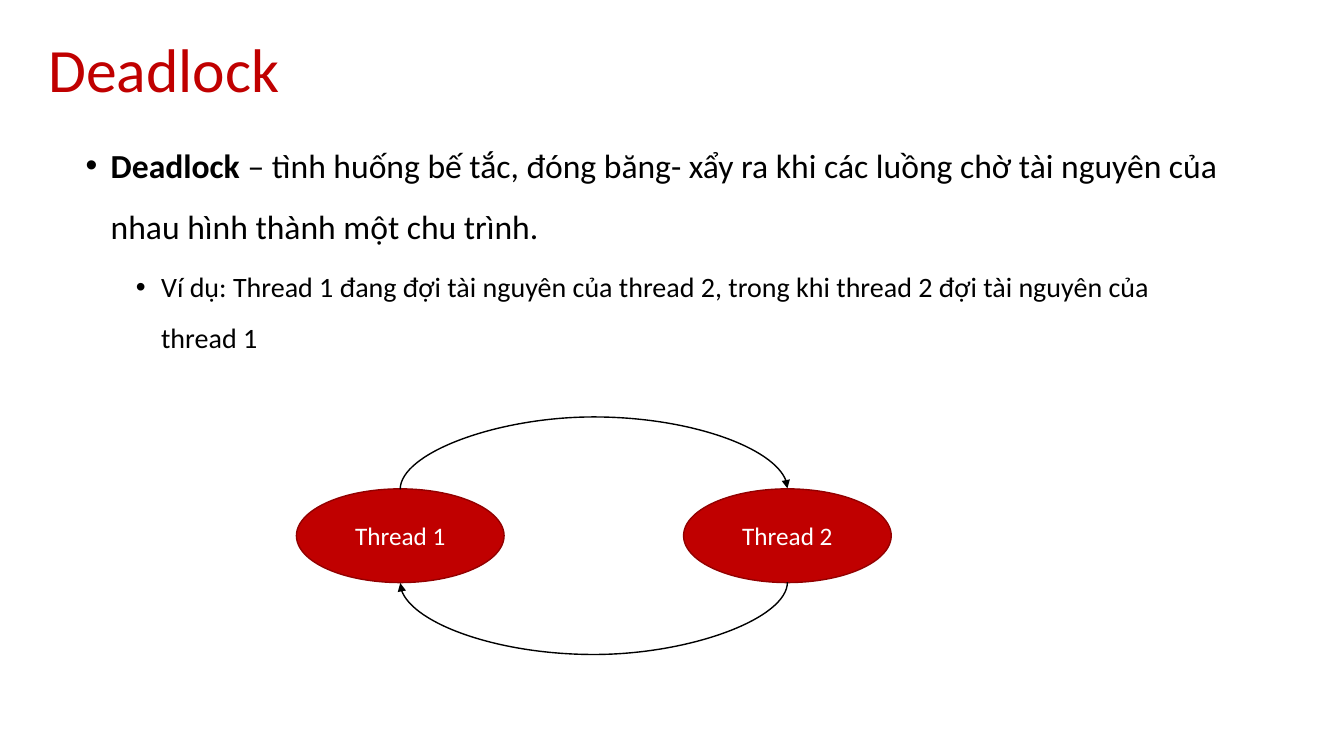
from pptx import Presentation
from pptx.dml.color import RGBColor
from pptx.enum.dml import MSO_LINE
from pptx.enum.shapes import MSO_CONNECTOR, MSO_SHAPE
from pptx.enum.text import MSO_ANCHOR, PP_ALIGN
from pptx.oxml.ns import qn
from pptx.util import Inches, Pt
from lxml import etree

OVAL = MSO_SHAPE.OVAL
CURVE = MSO_CONNECTOR.CURVE
MIDDLE = MSO_ANCHOR.MIDDLE
CENTER = PP_ALIGN.CENTER
SOLID = MSO_LINE.SOLID

RED, DARK, BLACK, WHITE = "C00000", "920000", "000000", "FFFFFF"


def rgb(color):
    return RGBColor.from_string(color)


def write(para, text, size=18, color=BLACK, bold=False, indent=None,
          spacing=None, before=None, align=None):
    """Add a run to para; an indent in inches also gives it a bullet."""
    run = para.add_run()
    run.text = text
    font = run.font
    font.name, font.size, font.bold = "Calibri", Pt(size), bold
    font.color.rgb = rgb(color)
    if spacing:
        para.line_spacing = spacing
    if before:
        para.space_before = Pt(before)
    if align:
        para.alignment = align
    if indent:
        props = para._p.get_or_add_pPr()
        props.set("marL", str(Inches(indent)))
        props.set("indent", str(Inches(-0.25)))
        etree.SubElement(props, qn("a:buFont"), typeface="Arial")
        etree.SubElement(props, qn("a:buChar"), char="•")


deck = Presentation()
deck.slide_width, deck.slide_height = Inches(13.33), Inches(7.5)
slide = deck.slides.add_slide(deck.slide_layouts[6])
shapes = slide.shapes

# Title
title = shapes.add_textbox(Inches(0.48), Inches(0.38), Inches(9.06), Inches(0.7))
frame = title.text_frame
frame.word_wrap = True
frame.vertical_anchor = MIDDLE
frame.margin_left = frame.margin_right = frame.margin_top = frame.margin_bottom = 0
write(frame.paragraphs[0], "Deadlock", size=44, color=RED, spacing=0.85)

# Definition and example
body = shapes.add_textbox(Inches(0.75), Inches(1.19), Inches(11.44), Inches(5.92))
frame = body.text_frame
frame.word_wrap = True
para = frame.paragraphs[0]
write(para, "Deadlock", size=24, bold=True, indent=0.25, spacing=1.5, before=10)
write(para, " – tình huống bế tắc, đóng băng- xẩy ra khi các luồng chờ tài nguyên "
      "của nhau hình thành một chu trình.", size=24)
para = frame.add_paragraph()
para.level = 1
write(para, "Ví dụ: Thread 1 đang đợi tài nguyên của thread 2, trong khi thread 2 "
      "đợi tài nguyên của thread 1", size=20, indent=0.75, spacing=1.5, before=5)

# Threads
TOP, WIDE, HIGH = 4.85, 2.06, 0.93
LEFT, STEP = 2.94, 3.84
threads = []
for i in range(2):
    oval = shapes.add_shape(OVAL, Inches(LEFT + i * STEP), Inches(TOP),
                            Inches(WIDE), Inches(HIGH))
    oval.shadow.inherit = False
    oval.fill.solid()
    oval.fill.fore_color.rgb = rgb(RED)
    oval.line.color.rgb = rgb(DARK)
    oval.line.width = Pt(1)
    oval.text_frame.vertical_anchor = MIDDLE
    write(oval.text_frame.paragraphs[0], f"Thread {i + 1}", color=WHITE, align=CENTER)
    threads.append(oval)

# Waiting arrows: thin curves turned by 90 degrees, bulging by RISE
THIN, RISE = 0.01, 0.73
mid = LEFT + (WIDE + STEP) / 2
first, second = threads
for start, end, site, y, flip in (
    (first, second, 0, TOP, True),
    (second, first, 4, TOP + HIGH, False),
):
    x = mid - THIN / 2
    arrow = shapes.add_connector(CURVE, Inches(x), Inches(y - STEP / 2),
                                 Inches(x + THIN), Inches(y + STEP / 2))
    arrow.line.color.rgb = rgb(BLACK)
    arrow.line.width = Pt(1)
    arrow.line.dash_style = SOLID
    etree.SubElement(arrow.line._get_or_add_ln(), qn("a:tailEnd"), type="triangle")
    etree.SubElement(arrow._element.spPr, qn("a:effectLst"))
    xfrm = arrow._element.spPr.find(qn("a:xfrm"))
    xfrm.set("rot", str(90 * 60000))
    if flip:
        xfrm.set("flipH", "1")
        xfrm.set("flipV", "1")
    guides = arrow._element.spPr.find(qn("a:prstGeom")).find(qn("a:avLst"))
    etree.SubElement(guides, qn("a:gd"), name="adj1",
                     fmla=f"val {round(RISE / THIN * 100000)}")
    # An oval has eight sites: 0 is its top and 4 its bottom
    joints = arrow._element.nvCxnSpPr.cNvCxnSpPr
    for tag, oval in (("a:stCxn", start), ("a:endCxn", end)):
        etree.SubElement(joints, qn(tag), id=str(oval.shape_id), idx=str(site))

deck.save("out.pptx")
